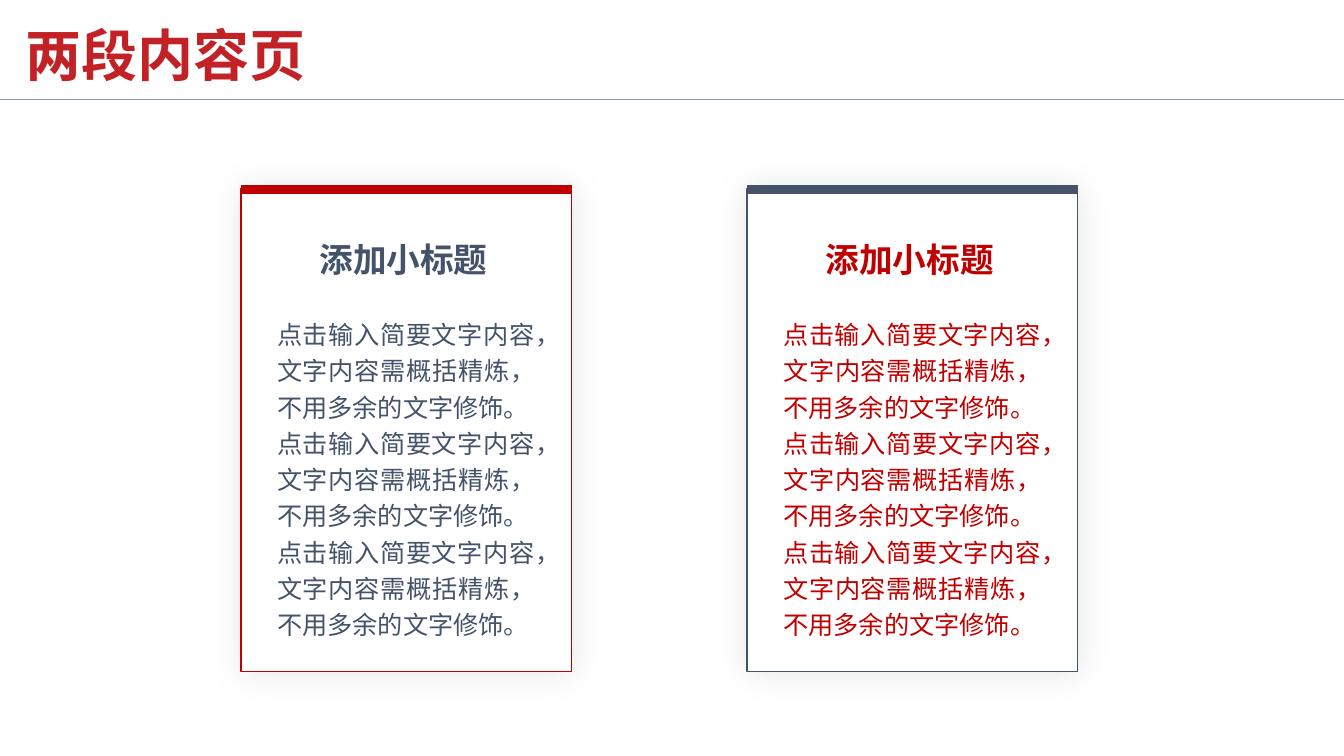
from lxml.etree import SubElement
from pptx import Presentation
from pptx.dml.color import RGBColor
from pptx.enum.lang import MSO_LANGUAGE_ID
from pptx.enum.shapes import MSO_CONNECTOR, MSO_SHAPE
from pptx.enum.text import MSO_ANCHOR, MSO_AUTO_SIZE, PP_ALIGN
from pptx.oxml.ns import qn
from pptx.util import Inches, Pt

# Content
TITLE = "两段内容页"
BODY = "点击输入简要文字内容，文字内容需概括精炼，不用多余的文字修饰。"
CARDS = [
    {"head": "添加小标题", "body": [BODY] * 3, "edge": "red", "ink": "navy"},
    {"head": "添加小标题", "body": [BODY] * 3, "edge": "navy", "ink": "red"},
]

# Style and grid, in inches
COLORS = {"title": "C22126", "red": "C00000", "navy": "44536A",
          "rule": "8497B0", "white": "FFFFFF", "black": "000000"}
FONT = "Noto Sans CJK JP"
WIDE, HIGH = 13.33, 7.5
LEFT, TOP, STEP = 2.39, 1.87, 5.02
CARD_W, CARD_H = 3.28, 4.79


def color(name):
    return RGBColor.from_string(COLORS[name])


def write(frame, lines, size, ink, bold=False, align=PP_ALIGN.LEFT, space=1.2):
    frame.word_wrap = True
    for i, line in enumerate(lines):
        para = frame.paragraphs[0] if i == 0 else frame.add_paragraph()
        para.alignment, para.line_spacing = align, space
        para.space_before = Pt(0)
        run = para.add_run()
        run.text = line
        font = run.font
        font.size, font.bold, font.name = Pt(size), bold, FONT
        font.color.rgb = color(ink)
        font.language_id = MSO_LANGUAGE_ID.SIMPLIFIED_CHINESE
        SubElement(run._r.rPr, qn("a:ea"), typeface=FONT)


def add_text(box, lines, **style):
    frame = slide.shapes.add_textbox(*map(Inches, box)).text_frame
    write(frame, lines, **style)
    frame.auto_size = MSO_AUTO_SIZE.SHAPE_TO_FIT_TEXT


def add_line(shapes, left, right, y, ink, width):
    line = shapes.add_connector(MSO_CONNECTOR.STRAIGHT, Inches(left), Inches(y),
                                Inches(right), Inches(y))
    line.line.color.rgb, line.line.width = color(ink), Pt(width)
    SubElement(line._element.spPr, qn("a:effectLst"))


def add_glow(shape, blur, alpha):
    shape.shadow.inherit = False
    glow = SubElement(shape._element.spPr.find(qn("a:effectLst")), qn("a:outerShdw"),
                      blurRad=str(Pt(blur)), dist="0", dir="0",
                      algn="ctr", rotWithShape="0")
    tone = SubElement(glow, qn("a:srgbClr"), val=COLORS["black"])
    SubElement(tone, qn("a:alpha"), val=str(alpha * 1000))


def add_card(left, card):
    # Frame with its top bar
    group = slide.shapes.add_group_shape().shapes
    frame = group.add_shape(MSO_SHAPE.RECTANGLE,
                            *map(Inches, (left, TOP, CARD_W, CARD_H)))
    frame.fill.solid()
    frame.fill.fore_color.rgb = color("white")
    frame.line.color.rgb, frame.line.width = color(card["edge"]), Pt(1)
    add_glow(frame, blur=25, alpha=10)
    add_line(group, left, left + CARD_W, TOP + 0.01, card["edge"], 6)
    # Text
    add_text((left + 0.26, TOP + 1.19, 2.76, 3.34), card["body"],
             size=18, ink=card["ink"], align=PP_ALIGN.JUSTIFY)
    add_text((left + 0.68, TOP + 0.37, 1.91, 0.54), [card["head"]],
             size=24, ink=card["ink"], bold=True)


deck = Presentation()
deck.slide_width, deck.slide_height = Inches(WIDE), Inches(HIGH)
slide = deck.slides.add_slide(deck.slide_layouts[5])

# Title and rule
title = slide.shapes.title
title.left, title.top, title.width, title.height = map(Inches, (0.25, 0.11, 2.97, 0.77))
frame = title.text_frame
frame.auto_size = MSO_AUTO_SIZE.NONE
frame.vertical_anchor = MSO_ANCHOR.BOTTOM
frame.margin_left = frame.margin_right = frame.margin_bottom = 0
frame.margin_top = Inches(0.05)
write(frame, [TITLE], size=40, ink="title", bold=True, space=0.9)
add_line(slide.shapes, 0, WIDE, 0.99, "rule", 0.5)

# Cards
for i, card in enumerate(CARDS):
    add_card(LEFT + i * STEP, card)

deck.save("out.pptx")
